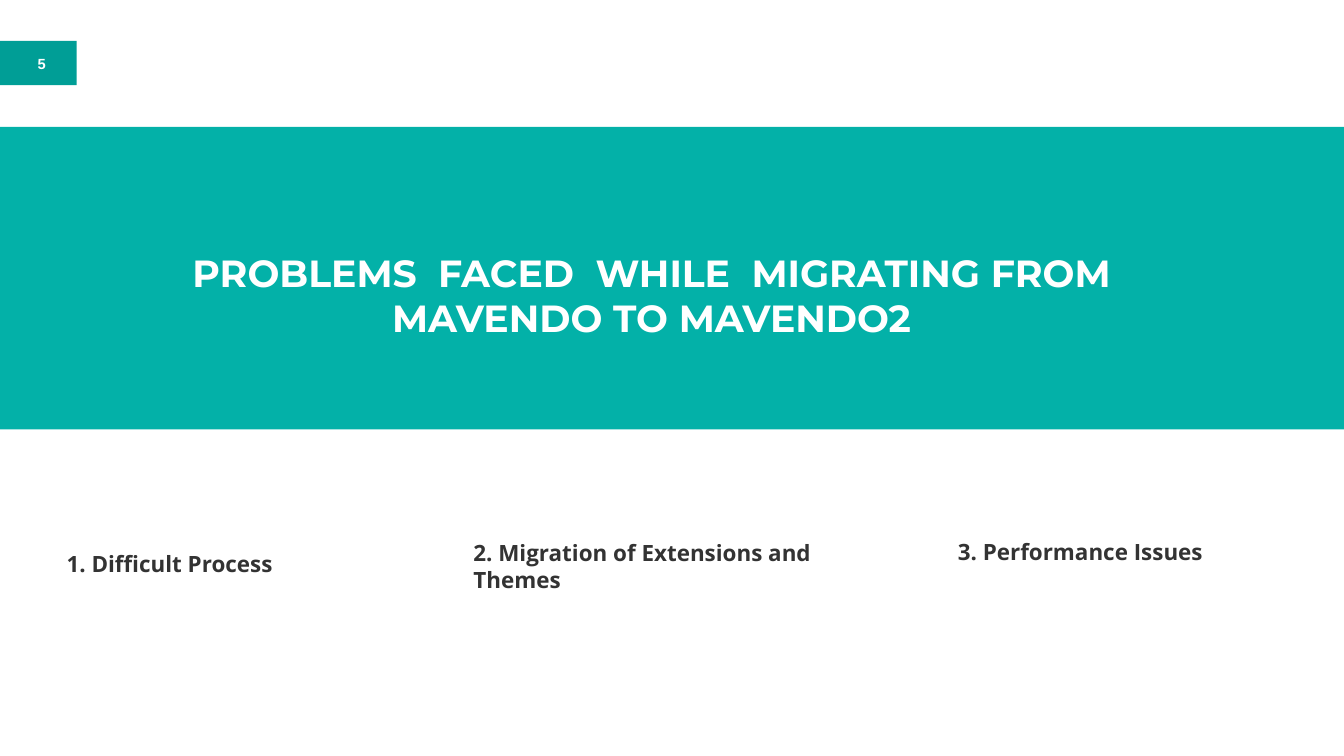
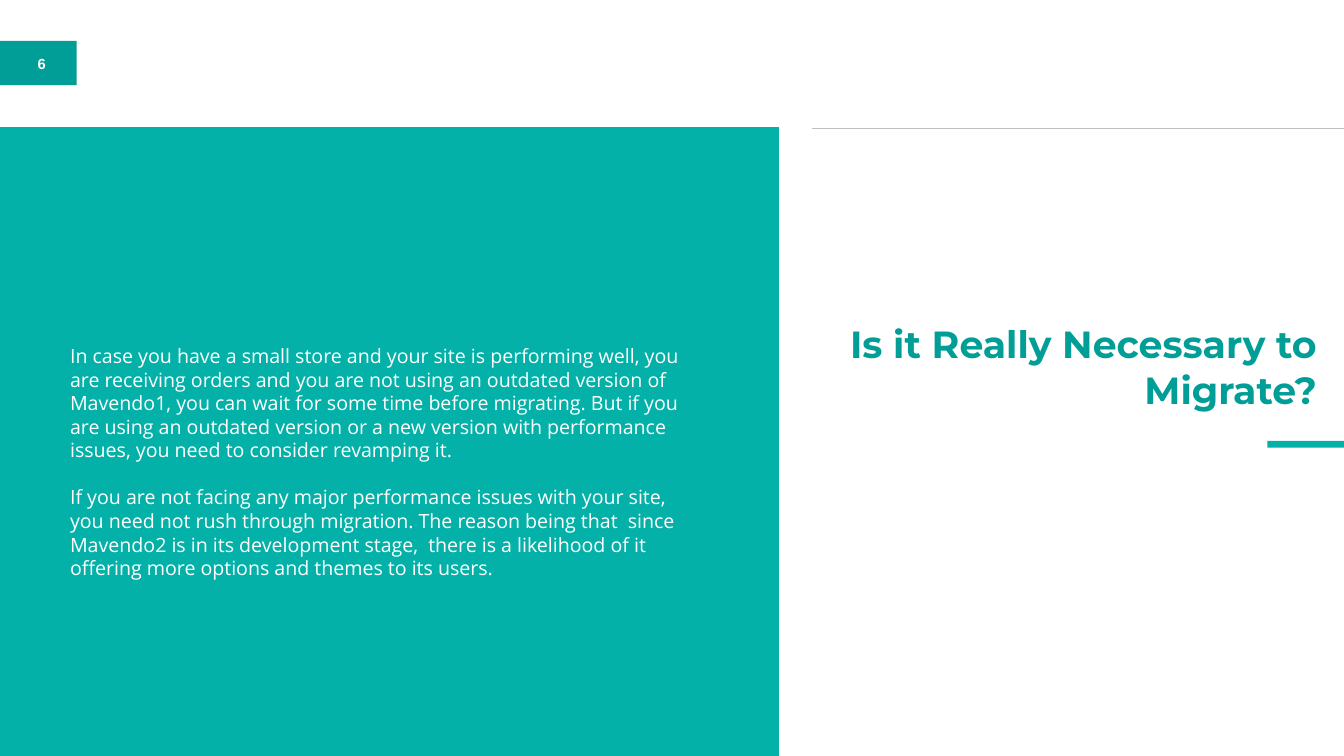
from lxml import etree
from pptx import Presentation
from pptx import util as u
from pptx.dml.color import RGBColor
from pptx.enum import shapes, text
from pptx.oxml.ns import qn

W, H = 26.66, 15

# Content: every box is (left, top, width, height) in percent of the slide
TOP = 16.8  # upper edge of the bands
SLIDES = [
    dict(
        number="5", layout="Comparison",
        rules=[(100, 0, TOP)],
        bars=[(0, TOP, 100, 40)],
        title=("PROBLEMS  FACED  WHILE  MIGRATING FROM MAVENDO TO MAVENDO2",
               (12.6, 32.67, 71.76, 12.67), "banner"),
        bodies=[
            (["1. Difficult Process"], (4.58, 72.47, 18.94, 4.27), "item"),
            (["2. Migration of Extensions and Themes"], (34.85, 70.93, 26.41, 7.8), "item"),
            (["3. Performance Issues"], (70.89, 70.8, 23.74, 4.27), "item"),
        ],
    ),
    dict(
        number="6", layout="Title and Content",
        rules=[(39.57, 0, TOP), (100, 60.43, 17)],
        bars=[(0, TOP, 57.95, 100 - TOP), (94.3, 58.33, 5.7, 0.87)],
        title=("Is it Really Necessary to Migrate?",
               (60.88, 42.13, 37.47, 12.67), "heading"),
        bodies=[
            (["In case you have a small store and your site is performing well, you are "
              "receiving orders and you are not using an outdated version of Mavendo1, you "
              "can wait for some time before migrating. But if you are using an outdated "
              "version or a new version with performance issues, you need to consider "
              "revamping it.",
              "If you are not facing any major performance issues with your site, you need "
              "not rush through migration. The reason being that  since Mavendo2 is in its "
              "development stage,  there is a likelihood of it offering more options and "
              "themes to its users."],
             (4.84, 37.4, 46.21, 47.4), "prose"),
        ],
    ),
]
BADGE, BADGE_TEXT = (0, 5.4, 5.7, 5.87), (0, 6.53, 6.19, 3.67)


# Theme: colours and text styles
class Theme:
    teal, deep, white, ink, rule = (
        RGBColor.from_string(c) for c in ("03B1A8", "009E96", "FFFFFF", "333333", "BFBFBF"))
    left, center, right = text.PP_ALIGN.LEFT, text.PP_ALIGN.CENTER, text.PP_ALIGN.RIGHT
    top, middle = text.MSO_ANCHOR.TOP, text.MSO_ANCHOR.MIDDLE
    leading = 1.2  # line pitch of the body face, as a multiple of its size
    styles = {
        "number": (dict(name="Arial", size=u.Pt(21), bold=True), white, center, top),
        "banner": (dict(name="Montserrat", size=u.Pt(54), bold=True), white, center, top),
        "heading": (dict(name="Montserrat", size=u.Pt(54), bold=True), deep, right, top),
        "item": (dict(name="Open Sans", size=u.Pt(32), bold=True), ink, left, top),
        "prose": (dict(name="Open Sans", size=u.Pt(28), bold=False), white, left, middle),
    }


def set_all(obj, values):
    for key, value in values.items():
        setattr(obj, key, value)


def grid(box):
    return [u.Inches(round(share * side / 100, 2)) for share, side in zip(box, (W, H, W, H))]


def write(sp, lines, style, inset=(0.1, 0.05), wrap=True):
    font, color, align, anchor = Theme.styles[style]
    tf = sp.text_frame
    x, y = map(u.Inches, inset)
    set_all(tf, dict(margin_left=x, margin_right=x, margin_top=y, margin_bottom=y,
                     word_wrap=wrap, auto_size=text.MSO_AUTO_SIZE.NONE,
                     vertical_anchor=anchor))
    for i, line in enumerate(lines):
        p = tf.paragraphs[0] if i == 0 else tf.add_paragraph()
        pPr = p._p.get_or_add_pPr()
        set_all(p, dict(alignment=align, space_before=u.Pt(0), space_after=u.Pt(0)))
        if font["name"] == "Open Sans":
            pitch = u.Pt(round(font["size"].pt * Theme.leading, 1))
            p.line_spacing = pitch
            if i:
                p.space_before = pitch  # one open line between paragraphs
        pPr.set("marL", "0")
        pPr.set("indent", "0")
        etree.SubElement(pPr, qn("a:buNone"))
        r = p.add_run()
        r.text = line
        set_all(r.font, font)
        r.font.color.rgb = color


def fill_placeholder(s, sp, lines, box, style):
    set_all(sp, dict(zip(("left", "top", "width", "height"), grid(box))))
    s.shapes._spTree.append(sp._element)  # bring in front of the bands
    write(sp, lines, style)


def add_bar(s, box, color):
    sp = s.shapes.add_shape(shapes.MSO_SHAPE.RECTANGLE, *grid(box))
    sp.shadow.inherit = False
    sp.fill.solid()
    sp.fill.fore_color.rgb = color
    sp.line.fill.background()


def add_rule(s, start, end, y):
    x1, y1, x2, y2 = grid((start, y, end, y))
    line = s.shapes.add_connector(shapes.MSO_CONNECTOR.STRAIGHT, x1, y1, x2, y2)
    line.line.color.rgb = Theme.rule
    line.line.width = u.Pt(0.5)
    etree.SubElement(line._element.spPr, qn("a:effectLst"))


def add_page_number(s, number):
    add_bar(s, BADGE, Theme.deep)
    sp = s.shapes.add_textbox(*grid(BADGE_TEXT))
    write(sp, [number], "number", inset=(0.2, 0.1), wrap=False)


def build(prs, page):
    s = prs.slides.add_slide(prs.slide_layouts.get_by_name(page["layout"]))
    bodies = [sp for sp in s.placeholders if sp.placeholder_format.idx > 0]
    add_page_number(s, page["number"])
    for rule in page["rules"]:
        add_rule(s, *rule)
    for box in page["bars"]:
        add_bar(s, box, Theme.teal)

    # Title and body text
    title, box, style = page["title"]
    fill_placeholder(s, s.shapes.title, [title], box, style)
    for sp, body in zip(bodies, page["bodies"]):
        fill_placeholder(s, sp, *body)
    for sp in bodies[len(page["bodies"]):]:
        s.shapes._spTree.remove(sp._element)


def main():
    prs = Presentation()
    prs.slide_width, prs.slide_height = u.Inches(W), u.Inches(H)
    for page in SLIDES:
        build(prs, page)
    prs.save("out.pptx")


if __name__ == "__main__":
    main()
